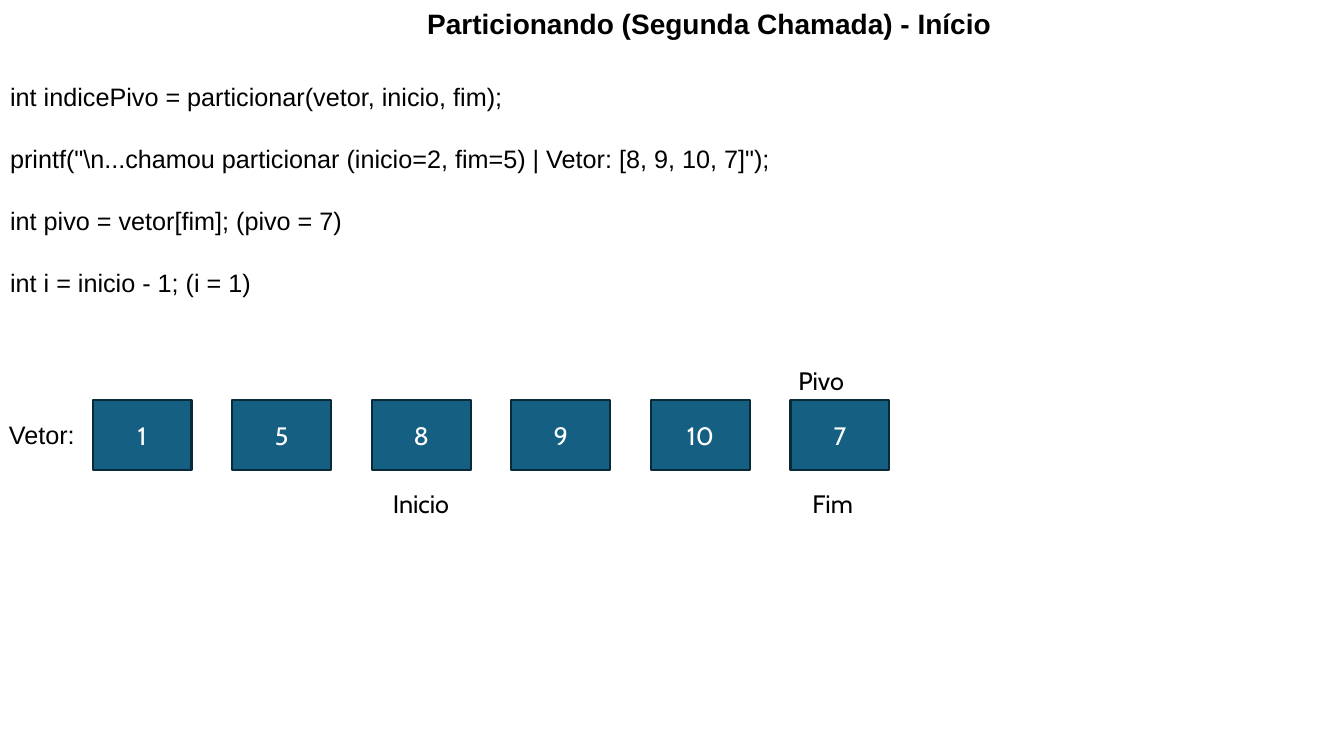
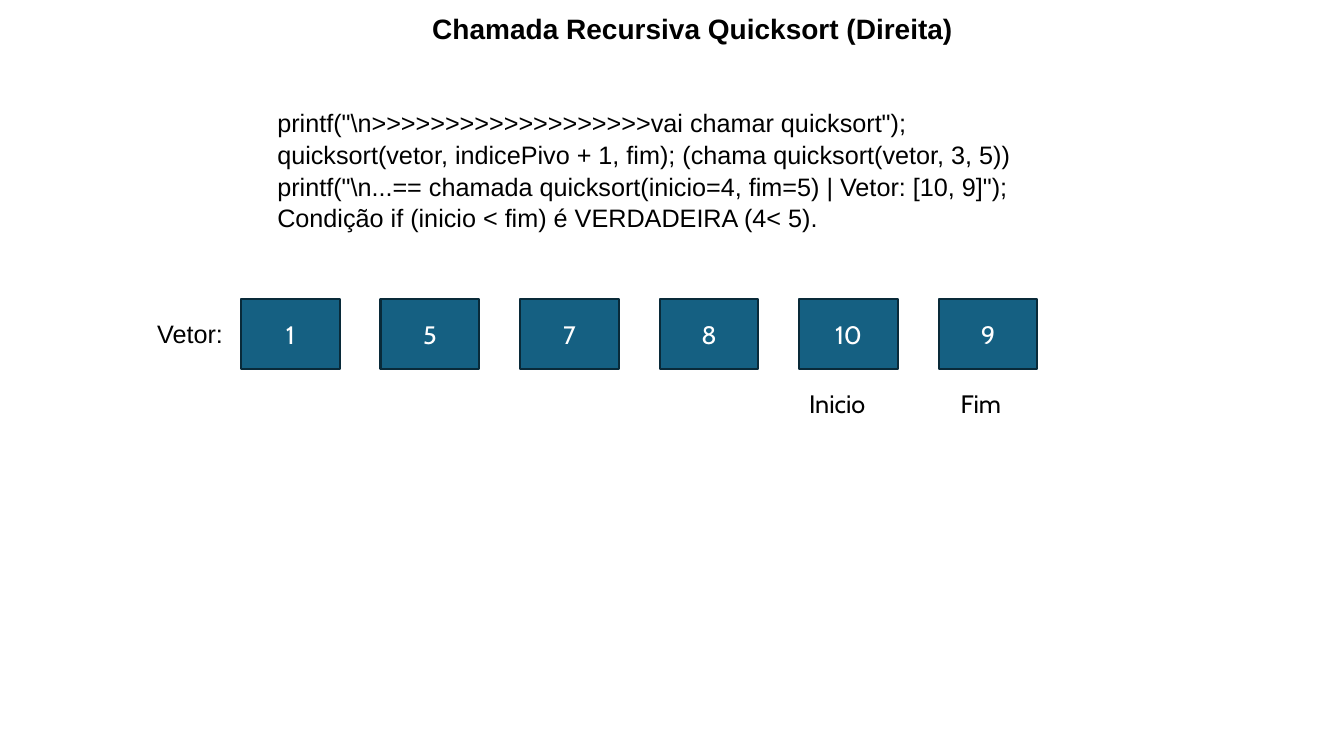
import pptx
import pptx.util
import pptx.dml.color
import pptx.enum.shapes
import pptx.enum.text
import lxml.etree
from pptx.util import Inches

Color = pptx.dml.color.RGBColor
Align = pptx.enum.text.PP_ALIGN
Anchor = pptx.enum.text.MSO_ANCHOR

BLACK = Color(0x00, 0x00, 0x00)
WHITE = Color(0xFF, 0xFF, 0xFF)
BLUE = Color(0x15, 0x60, 0x82)
NAVY = Color(0x09, 0x2A, 0x39)

HEAD = {"name": "Arial", "size": pptx.util.Pt(20), "bold": True}
CODE = {"name": "Arial", "size": pptx.util.Pt(18), "bold": False}
MARK = {"name": "Cabin", "size": pptx.util.Pt(18), "bold": False}
FRAME = {"word_wrap": True, "auto_size": pptx.enum.text.MSO_AUTO_SIZE.NONE}
LINE = 1.05
CELL_W, CELL_H = 0.98, 0.69
SPAN = 6.92
ABOVE, BELOW = -0.39, 0.83


def apply(thing, form):
    for key, value in form.items():
        setattr(thing, key, value)


def place(shape, box):
    sides = ("left", "top", "width", "height")
    apply(shape, {side: Inches(size) for side, size in zip(sides, box)})


def style(part, font, color, form):
    apply(part, form)
    apply(part.font, font)
    part.font.color.rgb = color


def write(shape, text, font, color=BLACK, align=Align.LEFT, anchor=Anchor.TOP):
    frame = shape.text_frame
    apply(frame, {**FRAME, "vertical_anchor": anchor})
    frame.text = text
    style(frame.paragraphs[0], font, color, {"alignment": align})


def add_title(slide, box, text):
    title = slide.shapes.title
    place(title, box)
    write(title, text, HEAD, align=Align.CENTER)
    title.text_frame.paragraphs[0].line_spacing = LINE


def add_code(slide, box, lines, gap):
    body = slide.placeholders[1]
    place(body, box)
    frame = body.text_frame
    apply(frame, {**FRAME, "vertical_anchor": Anchor.TOP})
    for i, text in enumerate(lines):
        part = frame.paragraphs[0] if i == 0 else frame.add_paragraph()
        part.text = text
        props = part._p.get_or_add_pPr()
        props.set("marL", "0")
        props.set("indent", "0")
        lxml.etree.SubElement(props, pptx.oxml.ns.qn("a:buNone"))
        space = pptx.util.Pt(gap if i else 0)
        style(part, CODE, BLACK, {"line_spacing": LINE, "space_before": space})


def add_label(slide, box, text, font):
    label = slide.shapes.add_textbox(*map(Inches, box))
    write(label, text, font)


def add_cell(slide, box, text):
    cell = slide.shapes.add_shape(
        pptx.enum.shapes.MSO_SHAPE.RECTANGLE, *map(Inches, box))
    cell.shadow.inherit = False
    cell.fill.solid()
    cell.fill.fore_color.rgb = BLUE
    cell.line.color.rgb = NAVY
    cell.line.width = pptx.util.Pt(1.5)
    write(cell, text, MARK, WHITE, Align.CENTER, Anchor.MIDDLE)


def add_row(slide, left, top, items, marks):
    step = SPAN / (len(items) - 1)
    add_label(slide, (left - 0.93, top + 0.14, 0.92, 0.4), "Vetor:", CODE)
    for i, item in enumerate(items):
        add_cell(slide, (left + i * step, top, CELL_W, CELL_H), str(item))
    for text, i, shift, drop in marks:
        box = (left + i * step + shift, top + drop, 1.07, 0.4)
        add_label(slide, box, text, MARK)


def add_page(deck, title, code, row):
    slide = deck.slides.add_slide(deck.slide_layouts[1])
    add_title(slide, *title)
    add_code(slide, *code)
    add_row(slide, *row)


def main():
    deck = pptx.Presentation()
    apply(deck, {"slide_width": Inches(13.33), "slide_height": Inches(7.5)})
    add_page(
        deck,
        ((2.64, 0, 8.79, 0.44), "Particionando (Segunda Chamada) - Início"),
        ((0, 0.74, 8.71, 2.83), (
            "int indicePivo = particionar(vetor, inicio, fim);",
            r'printf("\n...chamou particionar (inicio=2, fim=5) | Vetor: [8, 9, 10, 7]");',
            "int pivo = vetor[fim]; (pivo = 7)",
            "int i = inicio - 1; (i = 1)",
        ), 21.7),
        (0.92, 3.97, (1, 5, 8, 9, 10, 7), (
            ("Inicio", 2, 0.11, BELOW),
            ("Fim", 5, 0.12, BELOW),
            ("Pivo", 5, -0.02, ABOVE),
        )),
    )
    add_page(
        deck,
        ((3.34, 0.05, 7.06, 0.44), "Chamada Recursiva Quicksort (Direita)"),
        ((2.65, 1, 7.84, 1.62), (
            r'printf("\n>>>>>>>>>>>>>>>>>>>vai chamar quicksort");',
            "quicksort(vetor, indicePivo + 1, fim); (chama quicksort(vetor, 3, 5))",
            r'printf("\n...== chamada quicksort(inicio=4, fim=5) | Vetor: [10, 9]");',
            "Condição if (inicio < fim) é VERDADEIRA (4< 5).",
        ), 0),
        (2.39, 2.97, (1, 5, 7, 8, 10, 9), (
            ("Inicio", 4, 0, BELOW),
            ("Fim", 5, 0.12, BELOW),
        )),
    )
    deck.save("out.pptx")


if __name__ == "__main__":
    main()
